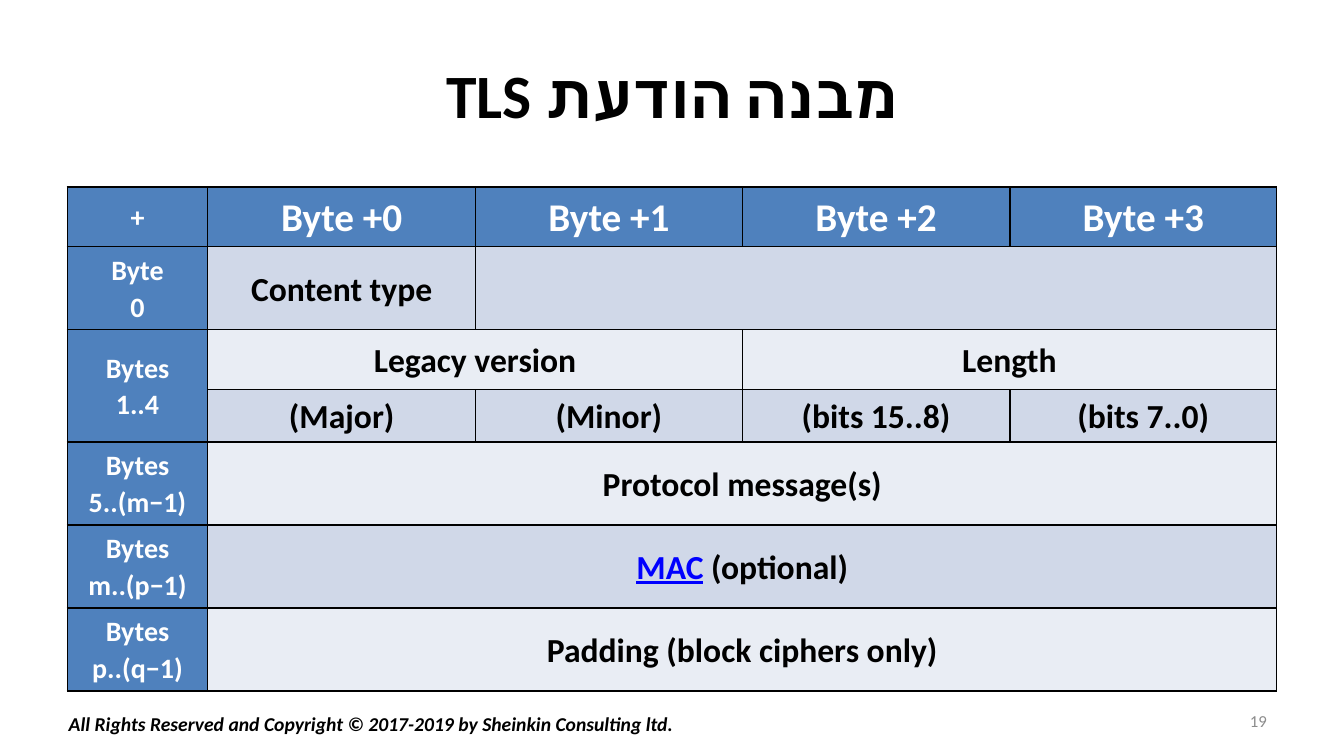
from lxml import etree
from pptx import Presentation
from pptx import util as u
from pptx.dml.color import RGBColor
from pptx.enum import text
from pptx.oxml import ns

PX = 9525  # EMU in one px, 96 px to the inch

BLACK = RGBColor(0x00, 0x00, 0x00)
WHITE = RGBColor(0xFF, 0xFF, 0xFF)
GREY = RGBColor(0x8C, 0x8C, 0x8C)
LINK = RGBColor(0x00, 0x00, 0xFF)
HEAD = RGBColor(0x4F, 0x81, 0xBD)
DARK_BAND = RGBColor(0xD0, 0xD8, 0xE8)
LIGHT_BAND = RGBColor(0xE9, 0xED, 0xF4)

FONT = "Calibri"
CENTER = text.PP_ALIGN.CENTER
MIDDLE = text.MSO_ANCHOR.MIDDLE

COLUMNS = [134, 255, 254, 255, 254]
ROWS = [57, 79, 56, 50, 79, 79, 79]
BANDS = [HEAD, DARK_BAND, LIGHT_BAND, DARK_BAND, LIGHT_BAND, DARK_BAND, LIGHT_BAND]

# Row labels: row -> text
LABELS = {0: "+", 1: "Byte\n0", 2: "Bytes\n1..4", 4: "Bytes\n5..(m−1)",
          5: "Bytes\nm..(p−1)", 6: "Bytes\np..(q−1)"}

# Fields: row, first column, columns covered, text
FIELDS = [
    (1, 1, 1, "Content type"), (1, 2, 3, ""),
    (2, 1, 2, "Legacy version"), (2, 3, 2, "Length"),
    (3, 1, 1, "(Major)"), (3, 2, 1, "(Minor)"),
    (3, 3, 1, "(bits 15..8)"), (3, 4, 1, "(bits 7..0)"),
    (4, 1, 4, "Protocol message(s)"),
    (5, 1, 4, "MAC"),
    (6, 1, 4, "Padding (block ciphers only)"),
]


def px(*lengths):
    return [u.Emu(length * PX) for length in lengths]


def set_all(target, values):
    for name, value in values.items():
        setattr(target, name, value)


def add_span(para, words, size, color, **style):
    span = para.add_run()
    span.text = words
    set_all(span.font, {"name": FONT, "size": u.Pt(size), **style})
    span.font.color.rgb = color
    # Complex-script face, for the Hebrew letters
    etree.SubElement(span.font._element, ns.qn("a:cs"), typeface=FONT)


def add_text(slide, place, words, size, color, align, anchor, **style):
    box = slide.shapes.add_textbox(*px(*place))
    set_all(box.text_frame, {"word_wrap": True, "vertical_anchor": anchor})
    para = box.text_frame.paragraphs[0]
    para.alignment = align
    add_span(para, words, size, color, **style)


def add_title(slide, words):
    title = slide.shapes.title
    set_all(title, dict(zip(("left", "top", "width", "height"), px(64, 29, 1152, 120))))
    title.text_frame.vertical_anchor = MIDDLE
    para = title.text_frame.paragraphs[0]
    para.alignment = CENTER
    para._p.get_or_add_pPr().set("rtl", "1")
    add_span(para, words, 44, BLACK, bold=True)


def add_borders(cell):
    properties = cell._tc.get_or_add_tcPr()
    for side in ("lnL", "lnR", "lnT", "lnB"):
        line = etree.SubElement(properties, ns.qn("a:" + side), w=str(u.Pt(1)))
        fill = etree.SubElement(line, ns.qn("a:solidFill"))
        etree.SubElement(fill, ns.qn("a:srgbClr"), val=str(BLACK))


def write_cell(cell, words, size, color):
    para = cell.text_frame.paragraphs[0]
    set_all(para, {"alignment": CENTER, "line_spacing": 1.07})
    for number, line in enumerate(words.split("\n")):
        if number:
            para.add_line_break()
        add_span(para, line, size, color, bold=True)
    return para


def add_message_table(slide):
    frame = slide.shapes.add_table(len(ROWS), len(COLUMNS),
                                   *px(64, 178, sum(COLUMNS), sum(ROWS)))
    table = frame.table
    set_all(table, {"first_row": False, "horz_banding": False})
    for column, width in zip(table.columns, px(*COLUMNS)):
        column.width = width
    for row, height in zip(table.rows, px(*ROWS)):
        row.height = height

    # Borders, fills and margins
    for r, band in enumerate(BANDS):
        for c in range(len(COLUMNS)):
            cell = table.cell(r, c)
            add_borders(cell)
            cell.fill.solid()
            cell.fill.fore_color.rgb = band if c else HEAD
            wide = r == 2 or (r > 3 and c > 0)
            side, edge = px(14, 8) if wide else px(8, 4)
            set_all(cell, {"margin_left": side, "margin_right": side,
                           "margin_top": edge, "margin_bottom": edge,
                           "vertical_anchor": MIDDLE})

    # Header row and row labels
    for byte in range(4):
        write_cell(table.cell(0, byte + 1), f"Byte +{byte}", 28, WHITE)
    table.cell(2, 0).merge(table.cell(3, 0))
    for r, words in LABELS.items():
        write_cell(table.cell(r, 0), words, 20, WHITE)

    # Message fields
    for r, c, covered, words in FIELDS:
        cell = table.cell(r, c)
        if covered > 1:
            cell.merge(table.cell(r, c + covered - 1))
        if words == "MAC":
            para = write_cell(cell, words, 24, LINK)
            para.runs[0].font.underline = True
            add_span(para, "\u00a0(optional)".replace("\u00a0", " "), 24, BLACK, bold=True)
        elif words:
            write_cell(cell, words, 24, BLACK)


def main():
    deck = Presentation()
    deck.slide_width, deck.slide_height = px(1280, 720)
    slide = deck.slides.add_slide(deck.slide_layouts[5])

    # Footer
    add_text(slide, (56, 673, 836, 33),
             "All Rights Reserved and Copyright © 2017-2019 by Sheinkin Consulting ltd.",
             14, BLACK, text.PP_ALIGN.LEFT, text.MSO_ANCHOR.TOP, bold=True, italic=True)

    add_title(slide, "מבנה הודעת TLS")
    add_message_table(slide)

    # Page number
    add_text(slide, (918, 667, 298, 38), "19", 12, GREY, text.PP_ALIGN.RIGHT, MIDDLE)

    deck.save("out.pptx")


if __name__ == "__main__":
    main()
